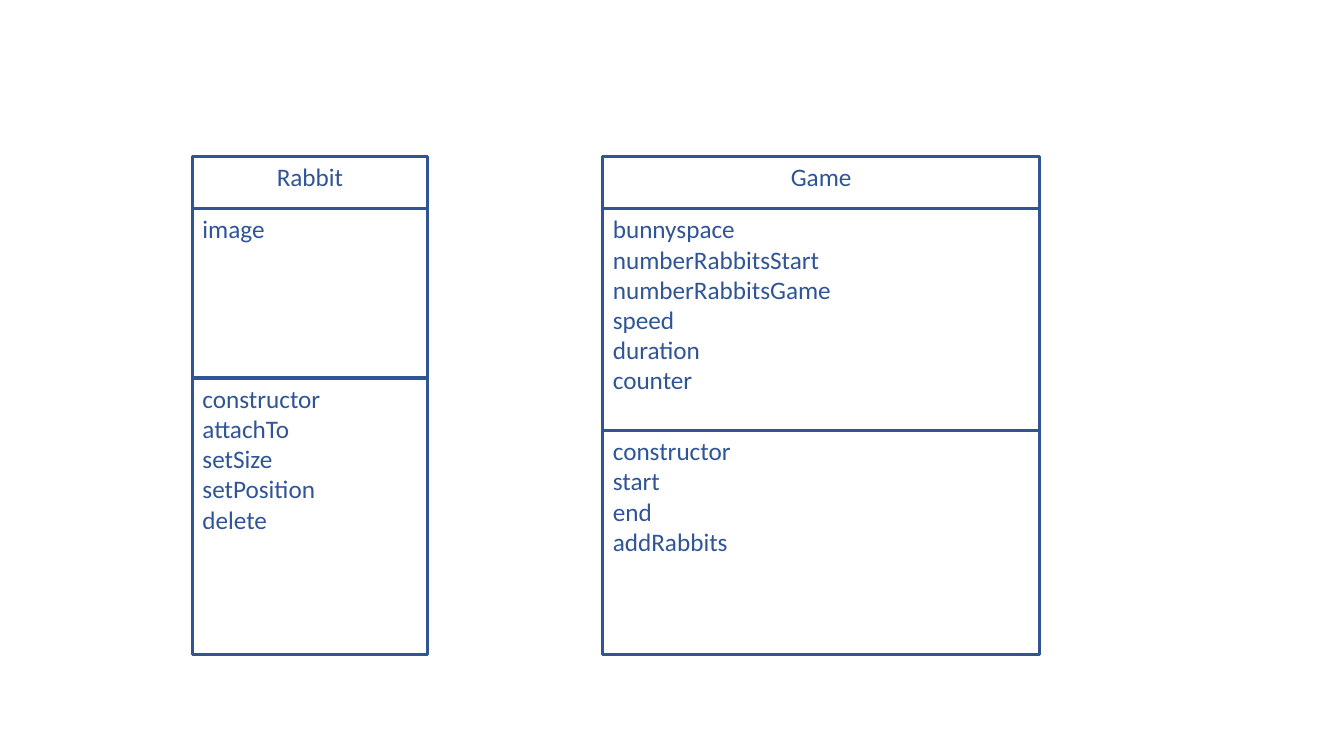
from dataclasses import dataclass

from pptx import Presentation
from pptx import util as u
from pptx.dml.color import RGBColor
from pptx.enum import shapes, text

PX = u.Inches(1) // 100


@dataclass(frozen=True)
class Theme:
    font: str = "Calibri"
    size: int = 18
    ink: RGBColor = RGBColor(0x2F, 0x55, 0x97)
    paper: RGBColor = RGBColor(0xFF, 0xFF, 0xFF)
    border: float = 2.25


THEME = Theme()
HEADER_HEIGHT = 52


def write_lines(frame, lines, align=text.PP_ALIGN.LEFT, anchor=text.MSO_ANCHOR.TOP,
                size=THEME.size, color=THEME.ink):
    """Fill a text frame with one paragraph per line."""
    frame.word_wrap = True
    frame.vertical_anchor = anchor
    for index, line in enumerate(lines):
        paragraph = frame.add_paragraph() if index else frame.paragraphs[0]
        paragraph.alignment = align
        run = paragraph.add_run()
        run.text = line
        run.font.name = THEME.font
        run.font.size = u.Pt(size)
        run.font.color.rgb = color


def add_compartment(slide, box, lines, **text_format):
    left, top, width, height = (length * PX for length in box)
    shape = slide.shapes.add_shape(shapes.MSO_SHAPE.RECTANGLE, left, top, width, height)
    shape.shadow.inherit = False
    shape.fill.solid()
    shape.fill.fore_color.rgb = THEME.paper
    shape.line.color.rgb = THEME.ink
    shape.line.width = u.Pt(THEME.border)
    write_lines(shape.text_frame, lines, **text_format)


def add_class_box(slide, box, name, fields, methods, fields_height):
    """Stack the name, field and method compartments of a class to fill the box."""
    left, top, width, height = box
    fields_top = top + HEADER_HEIGHT
    methods_top = fields_top + fields_height
    methods_height = top + height - methods_top
    add_compartment(slide, (left, top, width, HEADER_HEIGHT), [name],
                    align=text.PP_ALIGN.CENTER)
    add_compartment(slide, (left, fields_top, width, fields_height), fields)
    add_compartment(slide, (left, methods_top, width, methods_height), methods)


def main():
    presentation = Presentation()
    presentation.slide_width = u.Inches(13.33)
    presentation.slide_height = u.Inches(7.5)
    blank_layout = presentation.slide_layouts[6]
    slide = presentation.slides.add_slide(blank_layout)

    add_class_box(
        slide, (191, 155, 233, 494), "Rabbit",
        fields=["image"],
        methods=["constructor", "attachTo", "setSize", "setPosition", "delete"],
        fields_height=168)
    add_class_box(
        slide, (598, 155, 433, 494), "Game",
        fields=["bunnyspace", "numberRabbitsStart", "numberRabbitsGame",
                "speed", "duration", "counter"],
        methods=["constructor", "start", "end", "addRabbits"],
        fields_height=220)

    presentation.save("out.pptx")


if __name__ == "__main__":
    main()
